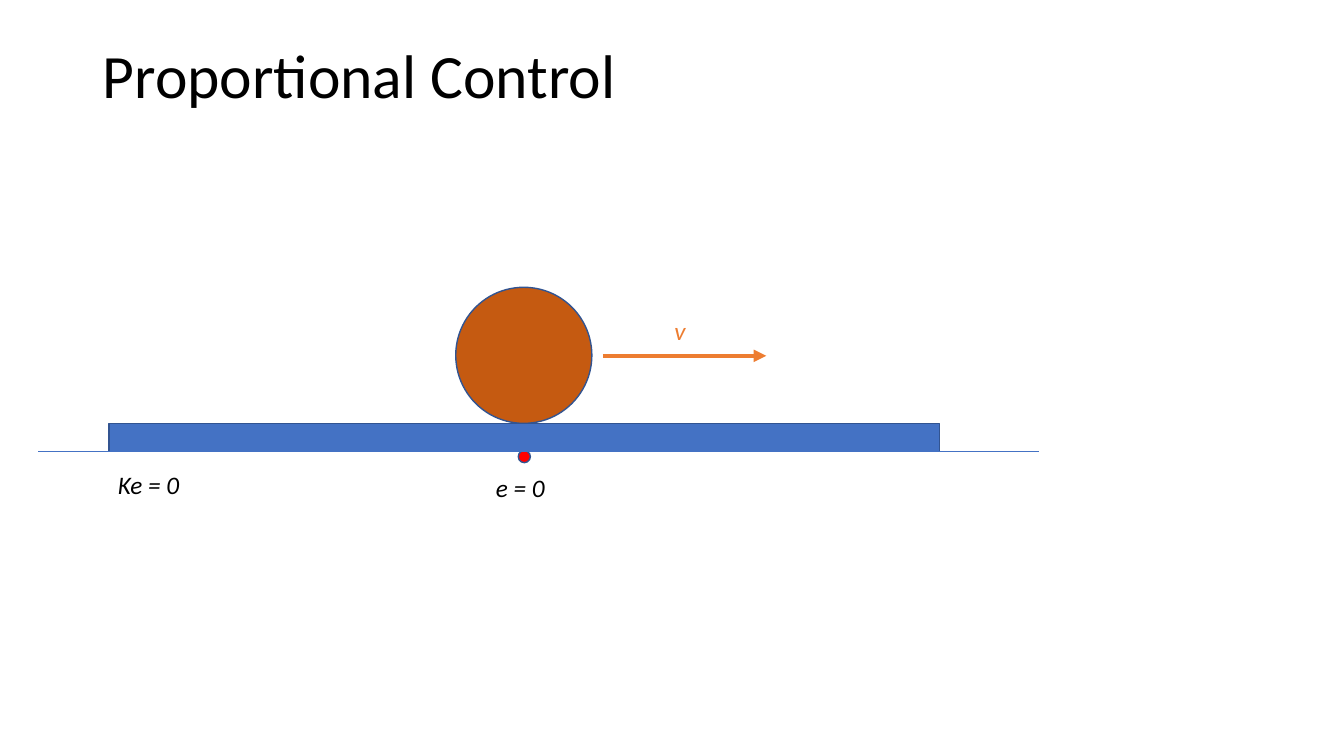
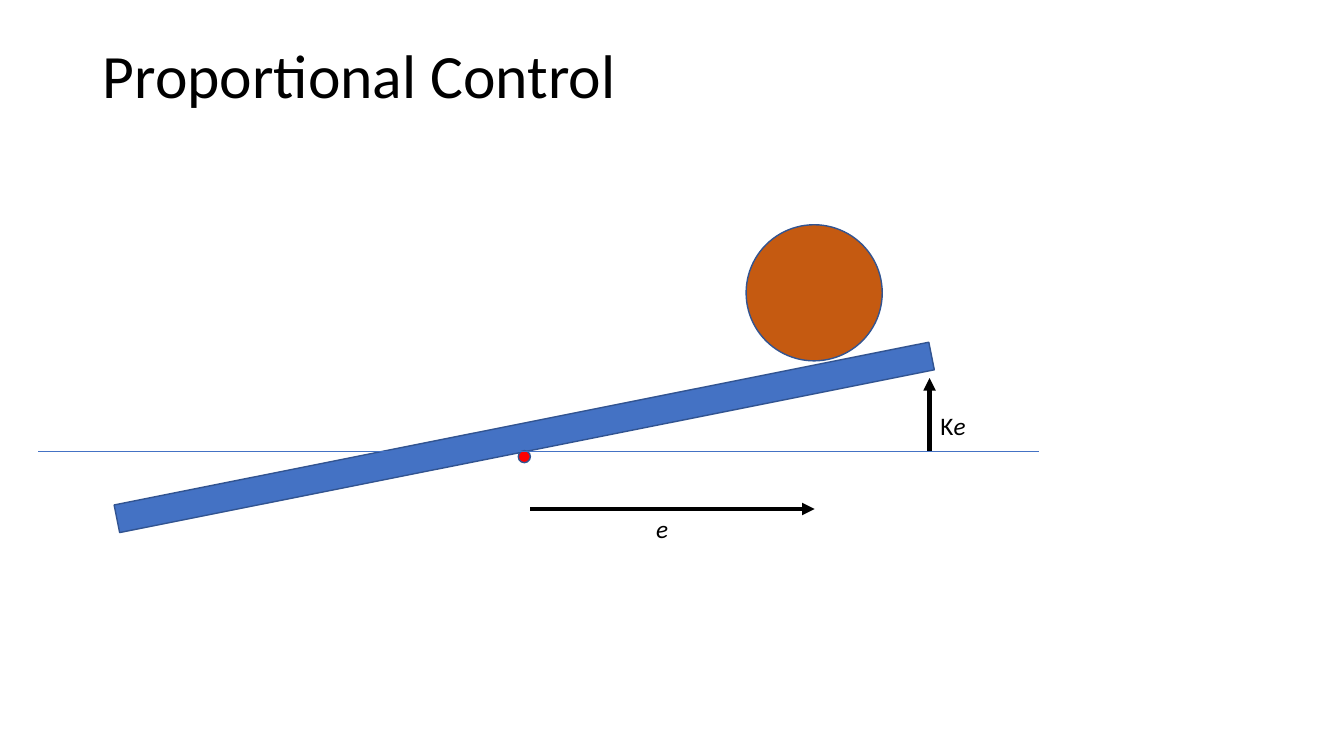
"""Build two slides that explain proportional control with a ball on a beam."""
from lxml import etree
from pptx import Presentation
from pptx.dml.color import RGBColor
from pptx.enum.shapes import MSO_CONNECTOR, MSO_SHAPE
from pptx.enum.text import MSO_ANCHOR, MSO_AUTO_SIZE, PP_ALIGN
from pptx.oxml.ns import qn
from pptx.util import Inches, Pt

STRAIGHT = MSO_CONNECTOR.STRAIGHT
OVAL, RECTANGLE = MSO_SHAPE.OVAL, MSO_SHAPE.RECTANGLE
TOP, LEFT = MSO_ANCHOR.TOP, PP_ALIGN.LEFT
FIT_SHAPE = MSO_AUTO_SIZE.SHAPE_TO_FIT_TEXT

COLORS = {
    "text": "000000",
    "beam": "4472C4",
    "outline": "325491",
    "ball": "C55A11",
    "pivot": "FF0000",
    "velocity": "ED7D31",
}
FONT = "Calibri"
TITLE = "Proportional Control"
BALL_SIZE = 1.35
AXIS = (0.38, 4.48, 10.31, 4.48, "beam", 0.5, False)
PIVOT = (OVAL, 5.14, 4.47, 0.12, 0.12, "pivot", 0)


def color(name):
    return RGBColor.from_string(COLORS[name])


def write(para, text, size=18, fill="text", italic=False):
    span = para.add_run()
    span.text = text
    span.font.name = FONT
    span.font.size = Pt(size)
    span.font.italic = italic
    span.font.color.rgb = color(fill)


scenes = [
    {
        "shapes": [
            (OVAL, 4.52, 2.85, BALL_SIZE, BALL_SIZE, "ball", 0),
            PIVOT,
            (RECTANGLE, 1.08, 4.2, 8.24, 0.28, "beam", 0),
        ],
        "lines": [AXIS, (5.98, 3.53, 7.6, 3.53, "velocity", 3, True)],
        "labels": [
            (4.82, 4.64, 1.17, True, "text", [("e = 0", True)]),
            (1.07, 4.61, 1.17, True, "text", [("Ke = 0", True)]),
            (6.59, 3.08, 0.31, False, "velocity", [("v", True)]),
        ],
    },
    {
        "shapes": [
            (RECTANGLE, 1.08, 4.2, 8.24, 0.28, "beam", 348.7),
            (OVAL, 7.4, 2.23, BALL_SIZE, BALL_SIZE, "ball", 0),
            PIVOT,
        ],
        "lines": [
            (5.26, 5.05, 8.08, 5.05, "text", 3, True),
            (9.22, 4.47, 9.22, 3.75, "text", 3, True),
            AXIS,
        ],
        "labels": [
            (6.41, 5.04, 1.17, True, "text", [("e", True)]),
            (9.23, 4.02, 1.36, True, "text", [("K", False), ("e", True)]),
        ],
    },
]

deck = Presentation()
deck.slide_width = Inches(13.33)
deck.slide_height = Inches(7.5)
title_only = deck.slide_layouts[5]

for scene in scenes:
    page = deck.slides.add_slide(title_only)
    title = page.shapes.title
    title.left, title.top = Inches(0.92), Inches(0.4)
    title.width, title.height = Inches(11.5), Inches(1.45)
    title.text_frame.vertical_anchor = TOP
    para = title.text_frame.paragraphs[0]
    para.alignment = LEFT
    para.line_spacing = 0.9
    write(para, TITLE, size=44)

    for kind, left, top, width, height, fill, rotation in scene["shapes"]:
        shape = page.shapes.add_shape(
            kind, Inches(left), Inches(top), Inches(width), Inches(height))
        shape.shadow.inherit = False
        shape.rotation = rotation
        shape.fill.solid()
        shape.fill.fore_color.rgb = color(fill)
        shape.line.color.rgb = color("outline")
        shape.line.width = Pt(1)

    for x1, y1, x2, y2, stroke, weight, arrow in scene["lines"]:
        line = page.shapes.add_connector(
            STRAIGHT, Inches(x1), Inches(y1), Inches(x2), Inches(y2))
        line.line.color.rgb = color(stroke)
        line.line.width = Pt(weight)
        if arrow:
            outline = line.line._get_or_add_ln()
            etree.SubElement(outline, qn("a:tailEnd"), type="triangle")
        etree.SubElement(line._element.spPr, qn("a:effectLst"))

    for left, top, width, wrap, fill, spans in scene["labels"]:
        box = page.shapes.add_textbox(
            Inches(left), Inches(top), Inches(width), Inches(0.4))
        box.text_frame.word_wrap = wrap
        box.text_frame.auto_size = FIT_SHAPE
        for text, italic in spans:
            write(box.text_frame.paragraphs[0], text, fill=fill, italic=italic)

deck.save("out.pptx")
